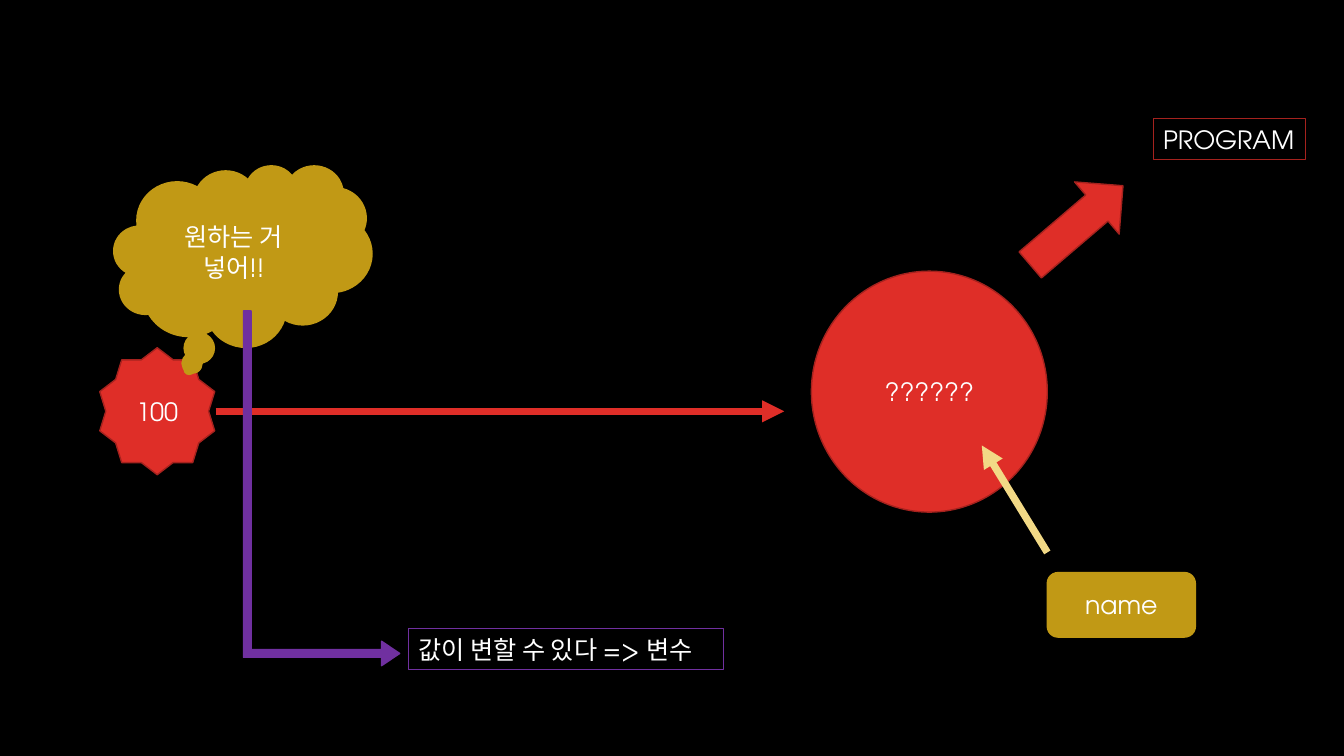
from lxml import etree
from pptx import Presentation
from pptx import util as u
from pptx.dml.color import RGBColor
from pptx.enum import shapes, text
from pptx.oxml.ns import qn

COLORS = {
    "black": "000000",
    "white": "FFFFFF",
    "red": "DF2E28",
    "dark_red": "A5221E",
    "gold": "C19915",
    "pale_gold": "F2D986",
    "purple": "7030A0",
}
SHAPE = shapes.MSO_SHAPE


def rgb(name):
    return RGBColor.from_string(COLORS[name])


class Diagram:
    font = "TeX Gyre Adventor"
    size = 18
    outline = 1
    label_outline = 0.75
    arrow_width = 5.25

    def __init__(self, slide):
        self.slide = slide

    def background(self, color):
        fill = self.slide.background.fill
        fill.solid()
        fill.fore_color.rgb = rgb(color)

    def set_words(self, shape, words, align):
        paragraph = shape.text_frame.paragraphs[0]
        paragraph.text = words
        paragraph.alignment = align
        for run in paragraph.runs:
            run.font.name = self.font
            run.font.size = u.Pt(self.size)
            run.font.color.rgb = rgb("white")

    def shape(self, kind, box, fill, line, words="", rotation=0, adjustments=()):
        shape = self.slide.shapes.add_shape(kind, *map(u.Pt, box))
        shape.shadow.inherit = False
        shape.rotation = rotation
        for index, value in enumerate(adjustments):
            shape.adjustments[index] = value
        shape.fill.solid()
        shape.fill.fore_color.rgb = rgb(fill)
        shape.line.color.rgb = rgb(line)
        shape.line.width = u.Pt(self.outline)
        if words:
            shape.text_frame.word_wrap = True
            shape.text_frame.vertical_anchor = text.MSO_ANCHOR.MIDDLE
            self.set_words(shape, words, text.PP_ALIGN.CENTER)

    def label(self, box, line, words):
        """Add a text box with a thin frame that fits its words."""
        label = self.slide.shapes.add_textbox(*map(u.Pt, box))
        label.line.color.rgb = rgb(line)
        label.line.width = u.Pt(self.label_outline)
        label.text_frame.word_wrap = False
        label.text_frame.auto_size = text.MSO_AUTO_SIZE.SHAPE_TO_FIT_TEXT
        self.set_words(label, words, text.PP_ALIGN.LEFT)

    def arrow(self, start, end, color):
        arrow = self.slide.shapes.add_connector(
            shapes.MSO_CONNECTOR.STRAIGHT, *map(u.Pt, (*start, *end)))
        arrow.line.color.rgb = rgb(color)
        arrow.line.width = u.Pt(self.arrow_width)
        properties = arrow.element.spPr
        etree.SubElement(properties.find(qn("a:ln")), qn("a:tailEnd"), type="triangle")
        etree.SubElement(properties, qn("a:effectLst"))


def main():
    presentation = Presentation()
    presentation.slide_width = u.Pt(960)
    presentation.slide_height = u.Pt(540)
    diagram = Diagram(presentation.slides.add_slide(presentation.slide_layouts[6]))
    diagram.background("black")

    diagram.shape(SHAPE.OVAL, (579.6, 193.7, 168.5, 172.1), "red", "dark_red", "??????")
    diagram.shape(SHAPE.STAR_10_POINT, (71.3, 248.4, 82.1, 90.7), "red", "dark_red", "100")
    diagram.arrow((154, 293.8), (560.2, 293.8), "red")

    diagram.shape(SHAPE.DOWN_ARROW, (744.5, 117.4, 49, 87.1), "red", "dark_red",
                  rotation=229.5)
    diagram.label((823.7, 85, 108.7, 28.8), "dark_red", "PROGRAM")

    diagram.arrow((748.1, 394.6), (701.3, 318.2), "pale_gold")
    diagram.shape(SHAPE.ROUNDED_RECTANGLE, (748.1, 409, 105.8, 46.1), "gold", "gold", "name")

    diagram.shape(SHAPE.CLOUD_CALLOUT, (81.4, 118.1, 184.3, 129.6), "gold", "gold",
                  "원하는 거 넣어!!")
    diagram.shape(SHAPE.BENT_UP_ARROW, (103, 293, 253.4, 111.6), "purple", "purple",
                  rotation=90, adjustments=(0.049, 0.078, 0.116))
    diagram.label((291.6, 449.3, 225.4, 28.8), "purple", "값이 변할 수 있다 => 변수")

    presentation.save("out.pptx")


if __name__ == "__main__":
    main()
